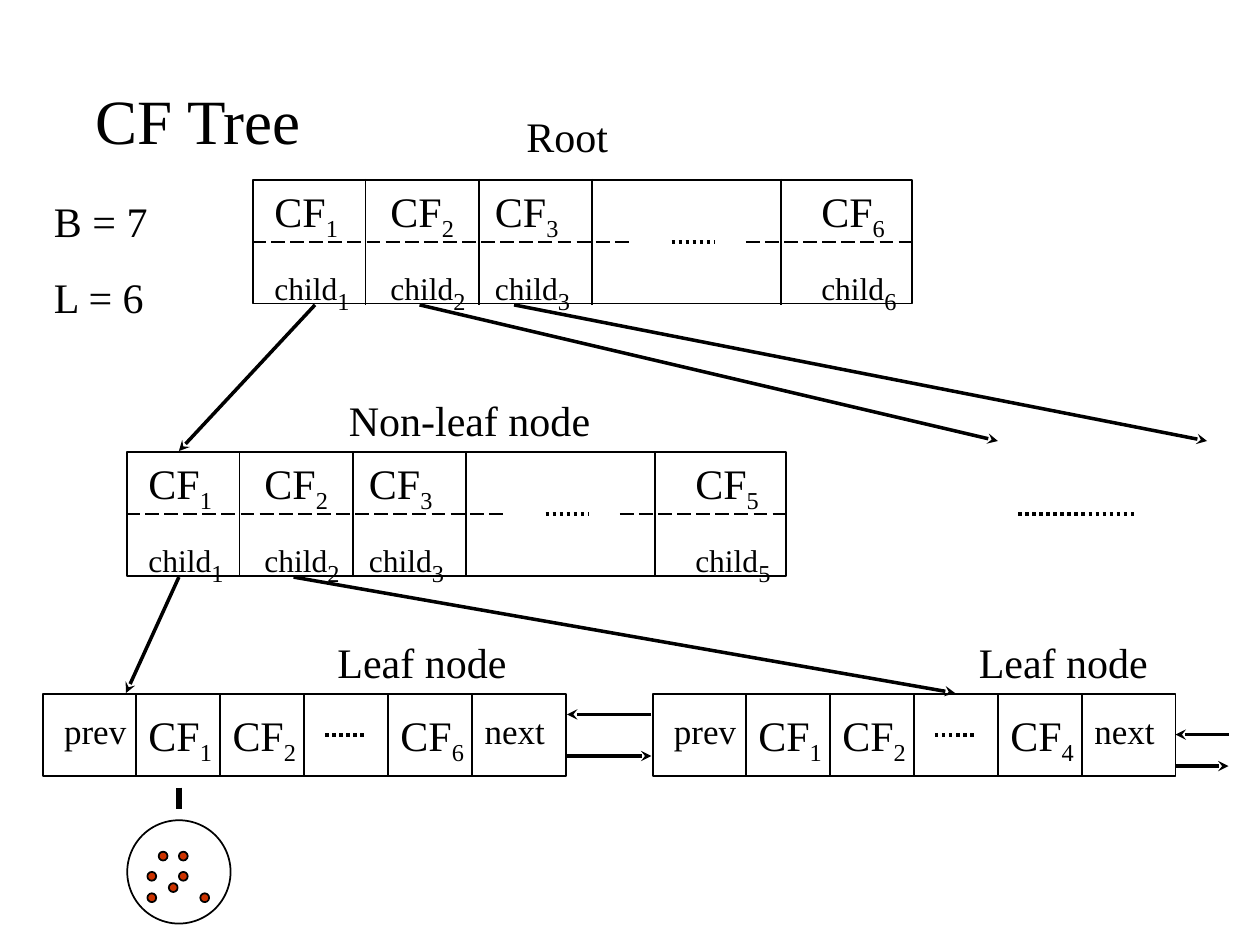
from dataclasses import dataclass
from lxml import etree
from pptx import Presentation
from pptx.dml.color import RGBColor
from pptx.enum import dml, shapes, text
from pptx.oxml.ns import qn
from pptx.util import Inches, Pt


@dataclass(frozen=True)
class Theme:
    font: str = "Times New Roman"
    ink: RGBColor = RGBColor(0x00, 0x00, 0x00)
    point: RGBColor = RGBColor(0xCC, 0x33, 0x00)
    title: int = 36
    body: int = 24
    pointer: int = 20
    child: int = 18
    thin: int = 1
    medium: int = 2
    thick: int = 3


THEME = Theme()
LONG_DASH = dml.MSO_LINE.LONG_DASH
DOTS = dml.MSO_LINE.ROUND_DOT

TITLE = ("CF Tree", 0.66, 0.61, 2.57, 0.69)
PARAMETERS = (["B = 7", "L = 6"], 0.33, 1.5, 1.17, 1.11)
LABELS = [  # text, left, top, width
    ("Root", 4.08, 0.83, 1.08),
    ("Non-leaf node", 2.67, 3.08, 2.17),
    ("Leaf node", 2.58, 5, 1.58),
    ("Leaf node", 7.67, 5, 1.58),
]

# Inner nodes: left, top, entry numbers
ROOT = (2, 1.42, "1236")
NON_LEAF = (1, 3.58, "1235")
ENTRY_OFFSETS = [0.08, 1, 1.83, 4.42]
INNER_DIVIDERS = [0.9, 1.8, 2.7, 4.2]
INNER_SIZE = (5.25, 1)

# Leaf nodes: left, entry numbers
LEAVES = [(0.33, "126"), (5.17, "124")]
LEAF_TOP = 5.5
LEAF_SIZE = (4.17, 0.67)
FIRST_DIVIDER, LEAF_CELL = 0.75, 2 / 3

ARROWS = [  # from x, from y, to x, to y
    (2.5, 2.42, 1.42, 3.58),
    (3.33, 2.42, 7.92, 3.5),
    (4.08, 2.42, 9.58, 3.5),
    (1.42, 4.58, 1, 5.5),
    (2.33, 4.58, 7.58, 5.5),
    (5.17, 5.67, 4.5, 5.67),
    (4.5, 6, 5.17, 6),
    (9.33, 6.08, 9.75, 6.08),
    (9.75, 5.83, 9.33, 5.83),
]

CLUSTER = (1.01, 6.51, 0.82)
POINTS = [(1.26, 6.76), (1.42, 6.92), (1.42, 6.76), (1.17, 7.09),
          (1.17, 6.92), (1.34, 7.01), (1.59, 7.09)]
POINT_SIZE = 0.07


def style_run(run, size):
    run.font.name = THEME.font
    run.font.size = Pt(size)
    run.font.color.rgb = THEME.ink


def add_text(container, lines, left, top, width, height, size=THEME.body, subscript=""):
    box = container.add_textbox(Inches(left), Inches(top), Inches(width), Inches(height))
    frame = box.text_frame
    frame.word_wrap = True
    frame.auto_size = text.MSO_AUTO_SIZE.SHAPE_TO_FIT_TEXT
    frame.text = "\n".join(lines)
    for index, paragraph in enumerate(frame.paragraphs):
        if index:
            paragraph.space_before = Pt(15)
        style_run(paragraph.runs[0], size)
    if subscript:
        run = frame.paragraphs[0].add_run()
        run.text = subscript
        style_run(run, THEME.body)
        run.font._element.set("baseline", "-25000")


def add_line(container, x1, y1, x2, y2, weight=THEME.thin, dash=None, arrow=False):
    line = container.add_connector(shapes.MSO_CONNECTOR.STRAIGHT,
                                   Inches(x1), Inches(y1), Inches(x2), Inches(y2))
    line.line.color.rgb = THEME.ink
    line.line.width = Pt(weight)
    if dash:
        line.line.dash_style = dash
    if arrow:
        etree.SubElement(line.line._get_or_add_ln(), qn("a:tailEnd"), type="stealth")
    etree.SubElement(line._element.spPr, qn("a:effectLst"))


def add_outline(container, kind, left, top, width, height, fill=None):
    shape = container.add_shape(kind, Inches(left), Inches(top), Inches(width), Inches(height))
    shape.shadow.inherit = False
    if fill is None:
        shape.fill.background()
    else:
        shape.fill.solid()
        shape.fill.fore_color.rgb = fill
    shape.line.color.rgb = THEME.ink
    shape.line.width = Pt(THEME.thin)


def add_frame(container, left, top, size, dividers):
    """Draw a node's border and the lines between its cells."""
    width, height = size
    add_outline(container, shapes.MSO_SHAPE.RECTANGLE,
                left + 0.01, top + 0.01, width - 0.02, height - 0.02)
    for offset in dividers:
        add_line(container, left + offset, top, left + offset, top + height)


def add_inner_node(container, left, top, numbers):
    add_frame(container, left, top, INNER_SIZE, INNER_DIVIDERS)
    middle = top + INNER_SIZE[1] / 2
    for start, end in [(0, 3), (3.92, INNER_SIZE[0])]:
        add_line(container, left + start, middle, left + end, middle, dash=LONG_DASH)
    add_line(container, left + 3.33, middle, left + 3.67, middle, THEME.medium, DOTS)
    for offset, number in zip(ENTRY_OFFSETS, numbers):
        add_text(container, ["CF"], left + offset, top, 0.75, 0.56, subscript=number)
        add_text(container, ["child"], left + offset, top + 0.58, 1, 0.56,
                 THEME.child, number)


def add_leaf(container, left, numbers):
    dividers = [FIRST_DIVIDER + LEAF_CELL * index for index in range(5)]
    add_frame(container, left, LEAF_TOP, LEAF_SIZE, dividers)
    text_top = LEAF_TOP + 0.08
    for column, number in zip([0, 1, 3], numbers):
        add_text(container, ["CF"], left + dividers[column], text_top, 0.75, 0.56,
                 subscript=number)
    for word, offset in [("prev", 0.08), ("next", dividers[4])]:
        add_text(container, [word], left + offset, text_top, 0.75, 0.43, THEME.pointer)
    middle = LEAF_TOP + LEAF_SIZE[1] / 2
    add_line(container, left + 2.25, middle, left + 2.58, middle, THEME.medium, DOTS)


def add_title(slide, wording, left, top, width, height):
    title = slide.shapes.title
    title.left, title.top = Inches(left), Inches(top)
    title.width, title.height = Inches(width), Inches(height)
    frame = title.text_frame
    frame.text = wording
    frame.vertical_anchor = text.MSO_ANCHOR.BOTTOM
    frame.paragraphs[0].alignment = text.PP_ALIGN.LEFT
    style_run(frame.paragraphs[0].runs[0], THEME.title)


def add_cluster(container):
    oval = shapes.MSO_SHAPE.OVAL
    for left, top in POINTS:
        add_outline(container, oval, left, top, POINT_SIZE, POINT_SIZE, THEME.point)
    left, top, size = CLUSTER
    add_outline(container, oval, left, top, size, size)


def main():
    presentation = Presentation()
    presentation.slide_width, presentation.slide_height = Inches(10), Inches(7.5)
    slide = presentation.slides.add_slide(presentation.slide_layouts[5])
    canvas = slide.shapes

    add_title(slide, *TITLE)
    add_inner_node(canvas.add_group_shape().shapes, *ROOT)
    add_inner_node(canvas, *NON_LEAF)
    for leaf in LEAVES:
        add_leaf(canvas, *leaf)
    for arrow in ARROWS:
        add_line(canvas, *arrow, THEME.medium, arrow=True)
    add_line(canvas, 8.08, 4.08, 9, 4.08, THEME.medium, DOTS)
    add_text(canvas, *PARAMETERS)
    for wording, left, top, width in LABELS:
        add_text(canvas, [wording], left, top, width, 0.5)
    add_cluster(canvas.add_group_shape().shapes)
    add_line(canvas, 1.42, 6.25, 1.42, 6.42, THEME.thick)
    presentation.save("out.pptx")


if __name__ == "__main__":
    main()
